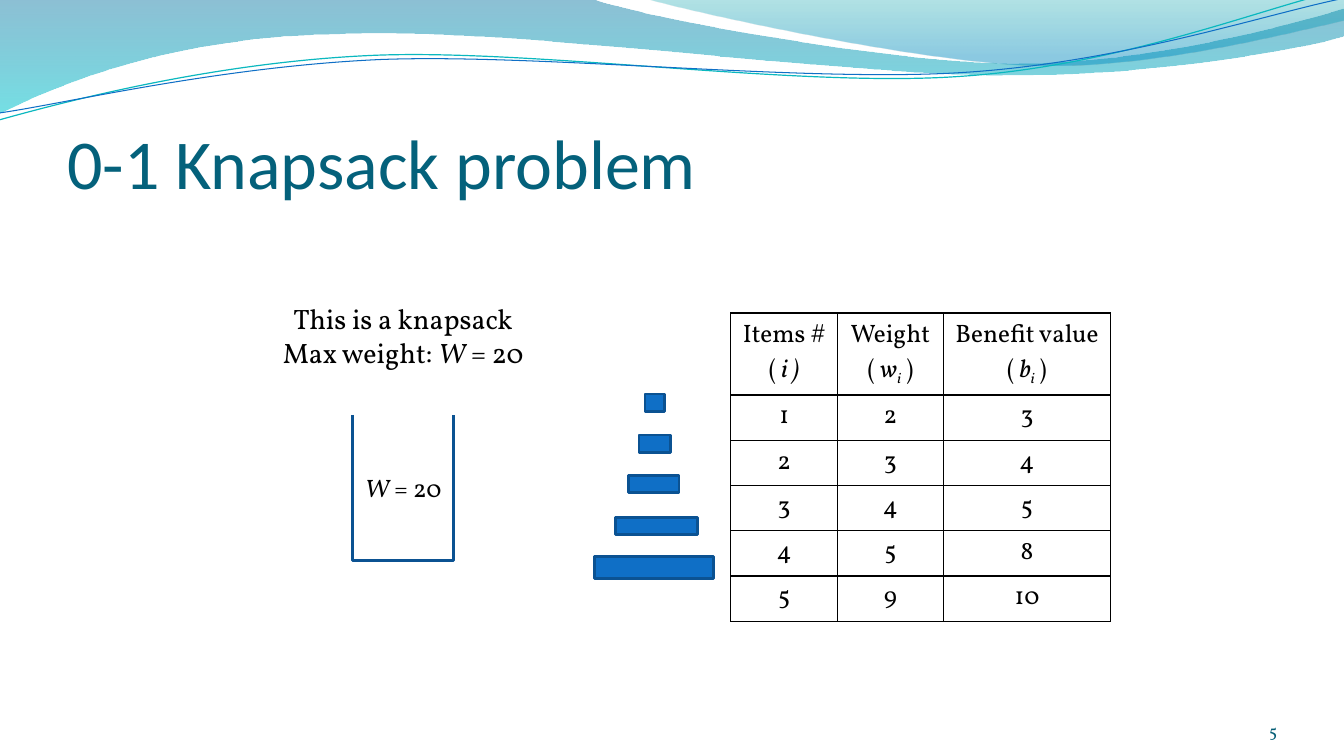
"""Builds a slide that sets out the 0-1 knapsack problem."""
from dataclasses import dataclass
from itertools import chain

from lxml import etree
from pptx import Presentation
from pptx.dml.color import RGBColor
from pptx.enum.shapes import MSO_SHAPE
from pptx.enum.text import MSO_ANCHOR, MSO_AUTO_SIZE, PP_ALIGN
from pptx.oxml.ns import qn
from pptx.util import Pt

RECT = MSO_SHAPE.RECTANGLE
TOP, MIDDLE, BOTTOM = MSO_ANCHOR.TOP, MSO_ANCHOR.MIDDLE, MSO_ANCHOR.BOTTOM
LEFT, CENTER, RIGHT = PP_ALIGN.LEFT, PP_ALIGN.CENTER, PP_ALIGN.RIGHT
FIXED = MSO_AUTO_SIZE.NONE

BLACK = RGBColor(0x00, 0x00, 0x00)
BLUE = RGBColor(0x0F, 0x6F, 0xC6)
NAVY = RGBColor(0x0B, 0x52, 0x92)
AQUA = RGBColor(0x0A, 0xB8, 0xBF)
TEAL = RGBColor(0x04, 0x61, 0x7B)
SLATE = RGBColor(0x04, 0x5D, 0x75)
DEEP = RGBColor(0x00, 0x74, 0xA1)
CYAN = RGBColor(0x00, 0xC6, 0xCF)
SEA = RGBColor(0x00, 0xA1, 0xA9)
SKY = RGBColor(0x00, 0x8B, 0xBF)

SERIF = "Vollkorn"
SANS = "Calibri"


@dataclass(frozen=True)
class Stop:
    """A gradient stop; both figures are shares of one."""
    place: float
    color: RGBColor
    alpha: float


@dataclass(frozen=True)
class Wave:
    """A ribbon or line; a move holds one point, or three for a curve."""
    moves: tuple
    stops: tuple = ()
    color: RGBColor = BLUE
    width: float = 0


@dataclass(frozen=True)
class Bar:
    """An item bar, placed by its middle and top."""
    mid: float
    top: float
    width: float
    height: float = 12.2


WAVES = (
    Wave((((0, 0),), ((422.6, -.7),),
          ((456.5, 12.2), (637.2, 45.4), (727.9, 45.4)),
          ((819.4, 45.4), (920.2, 18.7), (959.8, 6.5)),
          ((961.2, 25.9),),
          ((943.9, 31.7), (835.2, 54.7), (715.7, 54)),
          ((596.9, 54), (366.5, 20.2), (247, 24.5)),
          ((123.1, 25.9), (43.9, 59.8), (-.7, 81.4))),
         (Stop(0, DEEP, .45), Stop(1, CYAN, .55))),
    Wave((((460.1, -.7),),
          ((488.9, 7.9), (654.5, 44.6), (738, 46.8)),
          ((821.5, 49.7), (923, 23), (959.8, 15.1)),
          ((959.8, 0),)),
         (Stop(0, SEA, .3), Stop(.8, SKY, .45))),
    Wave((((-.7, 85.7),),
          ((46.1, 72.7), (151.9, 44.6), (265.7, 39.6)),
          ((379.4, 34.6), (568.8, 62.6), (684, 54.7)),
          ((799.2, 47.5), (901.4, 5.8), (958.3, -7.2))),
         color=AQUA, width=.85),
    Wave((((0, 80.6),),
          ((45.4, 74.2), (157, 47.5), (272.2, 42.5)),
          ((386.6, 38.2), (573.1, 59), (687.6, 51.8)),
          ((802.8, 44.6), (903.6, 10.1), (960.5, -1.4))),
         width=.75),
)
BARS = (
    Bar(467.6, 281.5, 13.7),
    Bar(467.6, 310.8, 22.3),
    Bar(467, 339.7, 36),
    Bar(468.8, 369.8, 58.7),
    Bar(467.3, 397.4, 85, 15.8),
)
SACK = (((252, 296.4),), ((252, 400.3),), ((324, 400.3),), ((324, 296.4),))
COLS = (76.3, 75.5, 119.6)
TALL = 29.5
CELLS = (
    ("Items #\n( |i )", "Weight\n( |w|i| )", "Benefit value\n( |b|i| )"),
    ("1", "2", "3"),
    ("2", "3", "4"),
    ("3", "4", "5"),
    ("4", "5", "8"),
    ("5", "9", "10"),
)


def write(frame, text: str, *, size: float = 18, font: str = SERIF,
          color: RGBColor = BLACK, align: PP_ALIGN = CENTER,
          anchor: MSO_ANCHOR = TOP) -> None:
    """Fill a frame; bars part plain, italic, subscript and plain text."""
    frame.vertical_anchor = anchor
    for row, line in enumerate(text.split("\n")):
        para = frame.add_paragraph() if row else frame.paragraphs[0]
        para.alignment = align
        para.space_before = Pt(0)
        for part, piece in enumerate(line.split("|")):
            if not piece:
                continue
            run = para.add_run()
            run.text = piece
            run.font.size, run.font.name = Pt(size), font
            run.font.color.rgb = color
            run.font.italic = part in (1, 2)
            if part == 2:
                run.font._element.set("baseline", "-25000")


def inset(frame, top: float = 0) -> None:
    """Strip the margins of a frame, save for the top one."""
    frame.margin_left = frame.margin_right = frame.margin_bottom = 0
    frame.margin_top = Pt(top)


def label(slide, box: tuple, text: str, **style):
    """Add a wrapped text box and return its frame."""
    frame = slide.shapes.add_textbox(*map(Pt, box)).text_frame
    frame.word_wrap = True
    write(frame, text, **style)
    return frame


def bend(shape, moves: tuple) -> None:
    """Join the three legs of each curved move into one cubic curve."""
    legs = shape.element.spPr.iter(qn("a:lnTo"))
    legs = iter(list(legs))
    for move in moves[1:]:
        trio = [next(legs) for _ in move]
        if len(trio) == 1:
            continue
        curve = etree.Element(qn("a:cubicBezTo"))
        trio[0].addprevious(curve)
        for leg in trio:
            curve.append(leg[0])
            leg.getparent().remove(leg)


def trace(slide, moves: tuple, close: bool, color: RGBColor, width: float):
    """Draw an unfilled outline along the moves."""
    spots = [(Pt(x), Pt(y)) for x, y in chain.from_iterable(moves)]
    pen = slide.shapes.build_freeform(*spots[0], scale=1.0)
    pen.add_line_segments(spots[1:], close=close)
    shape = pen.convert_to_shape()
    bend(shape, moves)
    shape.shadow.inherit = False
    shape.fill.background()
    if width:
        shape.line.color.rgb, shape.line.width = color, Pt(width)
    else:
        shape.line.fill.background()
    return shape


def ripple(slide, wave: Wave) -> None:
    """Draw a wave, with a see-through gradient when it has stops."""
    shape = trace(slide, wave.moves, bool(wave.stops), wave.color, wave.width)
    if not wave.stops:
        return
    shape.fill.gradient()
    shape.fill.gradient_angle = 270
    for slot, stop in zip(shape.fill.gradient_stops, wave.stops):
        slot.position, slot.color.rgb = stop.place, stop.color
    tints = shape.element.spPr.iter(qn("a:srgbClr"))
    for tint, stop in zip(list(tints), wave.stops):
        etree.SubElement(tint, qn("a:alpha"), val=str(round(stop.alpha * 100000)))


def block(slide, bar: Bar) -> None:
    """Draw one item bar."""
    box = (bar.mid - bar.width / 2, bar.top, bar.width, bar.height)
    shape = slide.shapes.add_shape(RECT, *map(Pt, box))
    shape.shadow.inherit = False
    shape.fill.solid()
    shape.fill.fore_color.rgb = BLUE
    shape.line.color.rgb, shape.line.width = NAVY, Pt(2)


def edge(cell) -> None:
    """Give a cell black borders and no fill."""
    cell.fill.background()
    props = cell._tc.get_or_add_tcPr()
    for spot, side in enumerate(("lnL", "lnR", "lnT", "lnB")):
        line = etree.Element(qn(f"a:{side}"), w=str(Pt(1)))
        fill = etree.SubElement(line, qn("a:solidFill"))
        etree.SubElement(fill, qn("a:srgbClr"), val=str(BLACK))
        props.insert(spot, line)


def chart(slide) -> None:
    """Add the table of items."""
    box = map(Pt, (522, 223.6, sum(COLS), TALL * len(CELLS)))
    table = slide.shapes.add_table(len(CELLS), len(COLS), *box).table
    table.first_row = table.horz_banding = False
    for col, width in zip(table.columns, COLS):
        col.width = Pt(width)
    for row, texts in zip(table.rows, CELLS):
        row.height = Pt(TALL)
        for cell, text in zip(row.cells, texts):
            write(cell.text_frame, text)
            edge(cell)


def main() -> None:
    """Build and save the slide."""
    deck = Presentation()
    deck.slide_width, deck.slide_height = Pt(960), Pt(540)
    slide = deck.slides.add_slide(deck.slide_layouts[5])
    for wave in WAVES:
        ripple(slide, wave)
    title = slide.shapes.title
    title.left, title.top, title.width, title.height = map(Pt, (48, 55.4, 864, 90))
    title.text_frame.auto_size = FIXED
    inset(title.text_frame, 3.6)
    write(title.text_frame, "0-1 Knapsack problem", size=50, font=SANS,
          color=TEAL, align=LEFT, anchor=BOTTOM)
    chart(slide)
    for bar in BARS:
        block(slide, bar)
    label(slide, (174, 212, 228, 55.4),
          "This is a knapsack\nMax weight: |W|| = 20", size=20)
    sack = trace(slide, SACK, False, NAVY, 2)
    inset(sack.text_frame)
    write(sack.text_frame, "|W|| = 20", anchor=MIDDLE)
    page = label(slide, (832.3, 500.4, 80, 28.8), "5", size=12, color=SLATE,
                 align=RIGHT, anchor=BOTTOM)
    inset(page)
    deck.save("out.pptx")


if __name__ == "__main__":
    main()
